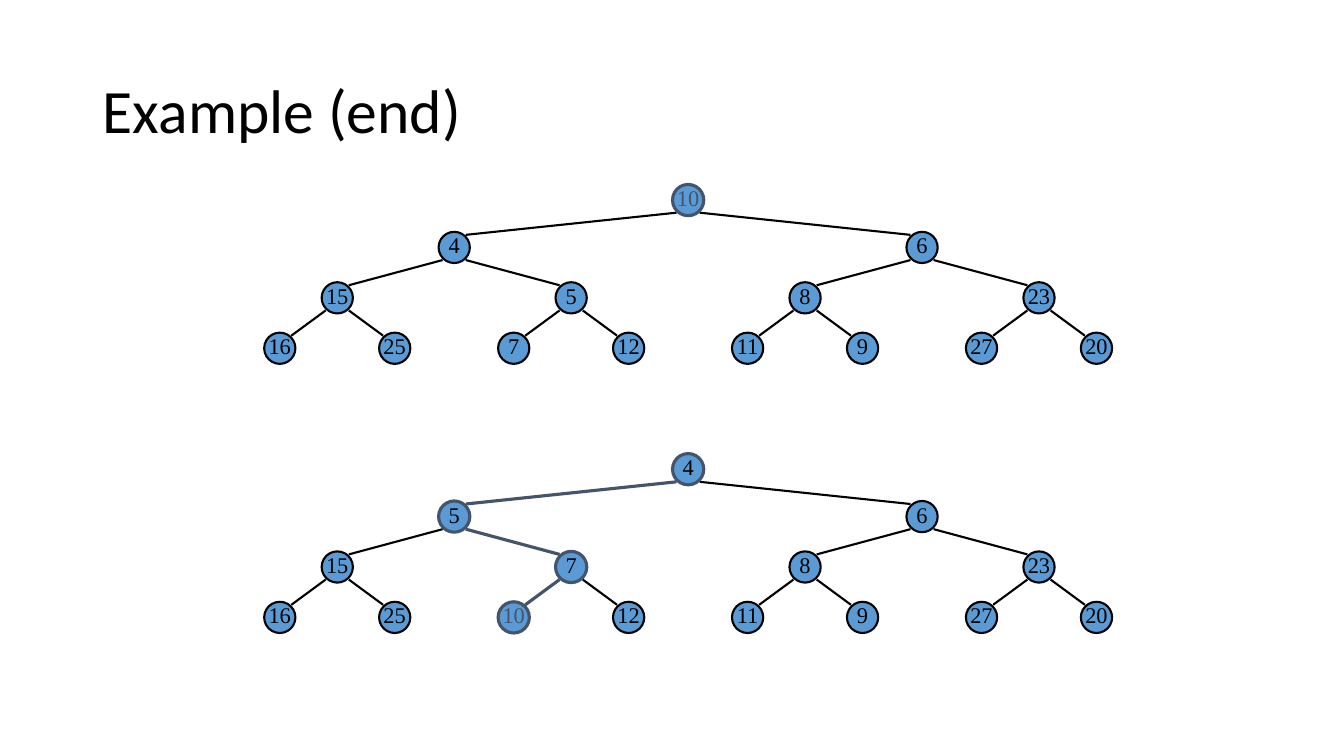
from dataclasses import dataclass

from lxml.etree import SubElement
from pptx import Presentation
from pptx.dml.color import RGBColor
from pptx.enum.shapes import MSO_CONNECTOR, MSO_SHAPE
from pptx.enum.text import MSO_ANCHOR, MSO_AUTO_SIZE, PP_ALIGN
from pptx.oxml.ns import qn
from pptx.slide import Slide
from pptx.util import Inches, Pt


@dataclass(frozen=True)
class Theme:
    ink: RGBColor = RGBColor(0x00, 0x00, 0x00)
    accent: RGBColor = RGBColor(0x44, 0x54, 0x6A)
    node_fill: RGBColor = RGBColor(0x5B, 0x9B, 0xD5)
    title_font: str = "Calibri"
    node_font: str = "Times New Roman"
    title_size: Pt = Pt(44)
    node_size: Pt = Pt(16)
    thin: Pt = Pt(1.5)
    thick: Pt = Pt(2.25)


@dataclass(frozen=True)
class Heap:
    top: float
    keys: tuple[int, ...]
    marked: frozenset[int]


@dataclass(frozen=True)
class Position:
    left: float
    top: float


THEME = Theme()
DIAMETER = 0.31
CORNER_X = 0.04
CORNER_Y = 0.03
ROOT_LEFT = 6.67
LEVEL_TOPS = (0, 0.47, 0.97, 1.47)
CHILD_OFFSETS = (2.32, 1.16, 0.57)
MOVING_KEY = 10

HEAPS = (
    Heap(1.83, (10, 4, 6, 15, 5, 8, 23, 16, 25, 7, 12, 11, 9, 27, 20), frozenset({0})),
    Heap(4.5, (4, 5, 6, 15, 7, 8, 23, 16, 25, 10, 12, 11, 9, 27, 20), frozenset({0, 1, 4, 9})),
)


def parent_of(index: int) -> int:
    return (index - 1) // 2


def is_left_child(index: int) -> bool:
    return index % 2 == 1


def node_positions(heap: Heap) -> list[Position]:
    positions = [Position(ROOT_LEFT, heap.top)]
    for index in range(1, len(heap.keys)):
        level = (index + 1).bit_length() - 1
        offset = CHILD_OFFSETS[level - 1]
        left = positions[parent_of(index)].left + (-offset if is_left_child(index) else offset)
        positions.append(Position(left, heap.top + LEVEL_TOPS[level]))
    return positions


def style_line(line, marked: bool) -> None:
    line.color.rgb = THEME.accent if marked else THEME.ink
    line.width = THEME.thick if marked else THEME.thin


def draw_edge(slide: Slide, parent: Position, child: Position, to_left: bool, marked: bool) -> None:
    near, far = CORNER_X, DIAMETER - CORNER_X
    parent_x, child_x = (near, far) if to_left else (far, near)
    edge = slide.shapes.add_connector(
        MSO_CONNECTOR.STRAIGHT,
        Inches(parent.left + parent_x),
        Inches(parent.top + DIAMETER - CORNER_Y),
        Inches(child.left + child_x),
        Inches(child.top + CORNER_Y),
    )
    style_line(edge.line, marked)
    SubElement(edge.element.spPr, qn("a:effectLst"))


def draw_node(slide: Slide, position: Position, key: int, marked: bool) -> None:
    node = slide.shapes.add_shape(
        MSO_SHAPE.OVAL, Inches(position.left), Inches(position.top), Inches(DIAMETER), Inches(DIAMETER)
    )
    node.shadow.inherit = False
    node.fill.solid()
    node.fill.fore_color.rgb = THEME.node_fill
    style_line(node.line, marked)
    frame = node.text_frame
    frame.margin_left = frame.margin_right = frame.margin_top = Inches(0)
    frame.margin_bottom = Inches(0.05)
    frame.vertical_anchor = MSO_ANCHOR.MIDDLE
    frame.word_wrap = False
    frame.text = str(key)
    para = frame.paragraphs[0]
    para.alignment = PP_ALIGN.CENTER
    font = para.runs[0].font
    font.name = THEME.node_font
    font.size = THEME.node_size
    font.color.rgb = THEME.accent if key == MOVING_KEY else THEME.ink


def draw_heap(slide: Slide, heap: Heap) -> None:
    positions = node_positions(heap)
    for index in range(1, len(positions)):
        parent = parent_of(index)
        marked = {parent, index} <= heap.marked
        draw_edge(slide, positions[parent], positions[index], is_left_child(index), marked)
    for index, key in enumerate(heap.keys):
        draw_node(slide, positions[index], key, index in heap.marked)


def write_title(slide: Slide, text: str) -> None:
    title = slide.shapes.title
    title.left, title.top = Inches(0.92), Inches(0.4)
    title.width, title.height = Inches(11.5), Inches(1.45)
    frame = title.text_frame
    frame.text = text
    frame.auto_size = MSO_AUTO_SIZE.NONE
    frame.vertical_anchor = MSO_ANCHOR.MIDDLE
    para = frame.paragraphs[0]
    para.alignment = PP_ALIGN.LEFT
    para.line_spacing = 0.9
    font = para.runs[0].font
    font.name = THEME.title_font
    font.size = THEME.title_size
    font.color.rgb = THEME.ink


deck = Presentation()
deck.slide_width, deck.slide_height = Inches(13.33), Inches(7.5)
page = deck.slides.add_slide(deck.slide_layouts.get_by_name("Title Only"))
write_title(page, "Example (end)")
for heap in HEAPS:
    draw_heap(page, heap)
deck.save("out.pptx")
